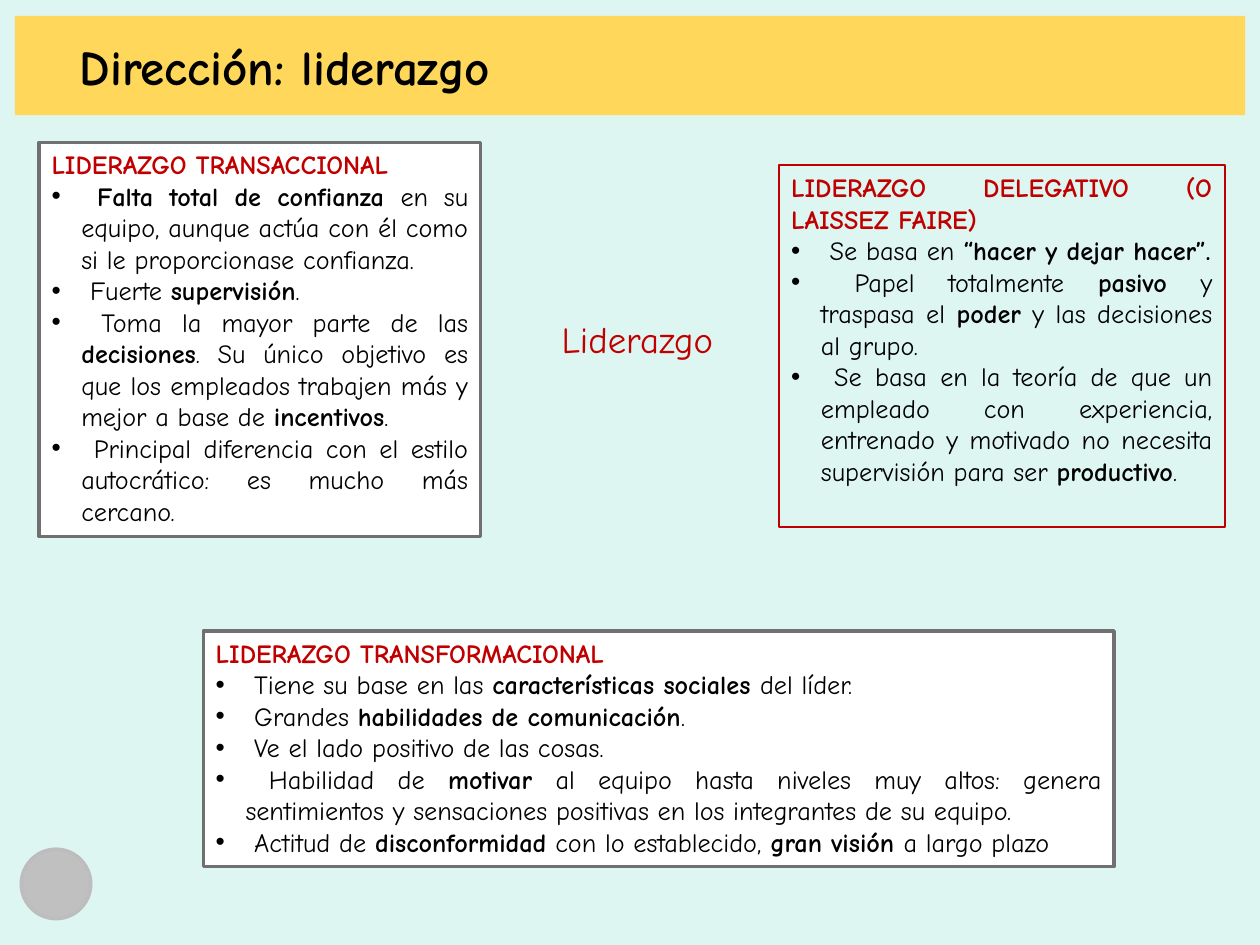
import pptx
import pptx.dml.color
import pptx.enum.shapes
import pptx.enum.text
import pptx.util
from lxml import etree
from pptx.oxml.ns import qn

Cm = pptx.util.Cm
Pt = pptx.util.Pt
RGBColor = pptx.dml.color.RGBColor
Align = pptx.enum.text.PP_ALIGN
Anchor = pptx.enum.text.MSO_ANCHOR
Shape = pptx.enum.shapes.MSO_SHAPE

MINT = RGBColor(0xDE, 0xF6, 0xF1)
YELLOW = RGBColor(0xFF, 0xD8, 0x5B)
RED = RGBColor(0xC0, 0x00, 0x00)
BLACK = RGBColor(0x00, 0x00, 0x00)
WHITE = RGBColor(0xFF, 0xFF, 0xFF)
GREY = RGBColor(0x70, 0x70, 0x70)
SILVER = RGBColor(0xC0, 0xC0, 0xC0)
SILVER_EDGE = RGBColor(0xBD, 0xBD, 0xBD)

# Bold passages stand between asterisks
TRANSACTIONAL = [
    " *Falta total de confianza *en su equipo, aunque actúa con él como si le proporcionase confianza. ",
    " Fuerte *supervisión*. ",
    " Toma la mayor parte de las *decisiones*. Su único objetivo es que los empleados "
    "trabajen más y mejor a base de *incentivos*.",
    " Principal diferencia con el estilo autocrático: es mucho más cercano.",
]
TRANSFORMATIONAL = [
    " Tiene su base en las *características sociales *del líder. ",
    " Grandes *habilidades de comunicación*. ",
    " Ve el lado positivo de las cosas. ",
    " Habilidad de *motivar* al equipo hasta niveles muy altos: genera sentimientos "
    "y sensaciones positivas en los integrantes de su equipo.",
    " Actitud de *disconformidad* con lo establecido, *gran visión *a largo plazo",
]
DELEGATIVE = [
    " Se basa en *“hacer y dejar hacer”.*",
    " Papel totalmente *pasivo* y traspasa el *poder* y las decisiones al grupo.",
    " Se basa en la teoría de que un empleado con experiencia, entrenado y motivado "
    "no necesita supervisión para ser *productivo*.",
]


class SlideBuilder:
    font_name = "Comic Neue"
    body_size = Pt(15)
    bullet_indent = Cm(0.6)

    def __init__(self, page):
        self.page = page
        page.background.fill.solid()
        page.background.fill.fore_color.rgb = MINT

    def style(self, paragraph, size, color, bold=None):
        paragraph.font.name = self.font_name
        paragraph.font.size = size
        paragraph.font.color.rgb = color
        paragraph.font.bold = bold

    def title(self, text, left, top, width, height):
        box = self.page.shapes.title
        box.left, box.top, box.width, box.height = left, top, width, height
        box.fill.solid()
        box.fill.fore_color.rgb = YELLOW
        frame = box.text_frame
        frame.text = text
        frame.vertical_anchor = Anchor.MIDDLE
        frame.margin_left = Cm(1.31)
        paragraph = frame.paragraphs[0]
        paragraph.alignment = Align.LEFT
        self.style(paragraph, Pt(28), BLACK, True)

    def shape(self, kind, left, top, width, height, fill, line, weight):
        box = self.page.shapes.add_shape(kind, left, top, width, height)
        box.shadow.inherit = False
        if fill is None:
            box.fill.background()
        else:
            box.fill.solid()
            box.fill.fore_color.rgb = fill
        box.line.color.rgb = line
        box.line.width = weight
        return box

    def card(self, heading, points, left, top, width, height, fill=WHITE, line=GREY, weight=Pt(2)):
        box = self.shape(Shape.RECTANGLE, left, top, width, height, fill, line, weight)
        frame = box.text_frame
        frame.word_wrap = True
        frame.vertical_anchor = Anchor.TOP
        paragraph = frame.paragraphs[0]
        paragraph.text = heading
        paragraph.alignment = Align.JUSTIFY
        self.style(paragraph, self.body_size, RED, True)
        for point in points:
            self.bullet(frame.add_paragraph(), point)

    def bullet(self, paragraph, point):
        paragraph.alignment = Align.JUSTIFY
        properties = paragraph._p.get_or_add_pPr()
        properties.set("marL", str(self.bullet_indent))
        properties.set("indent", str(-self.bullet_indent))
        etree.SubElement(properties, qn("a:buFont"), typeface="Arial")
        etree.SubElement(properties, qn("a:buChar"), char="•")
        self.style(paragraph, self.body_size, BLACK)
        for index, part in enumerate(point.split("*")):
            if part:
                span = paragraph.add_run()
                span.text = part
                span.font.bold = index % 2 == 1

    def label(self, text, left, top, width, height):
        box = self.page.shapes.add_textbox(left, top, width, height)
        frame = box.text_frame
        frame.word_wrap = True
        frame.vertical_anchor = Anchor.MIDDLE
        frame.margin_left = frame.margin_right = frame.margin_top = frame.margin_bottom = 0
        paragraph = frame.paragraphs[0]
        paragraph.text = text
        paragraph.alignment = Align.CENTER
        self.style(paragraph, Pt(21), RED)


def main():
    deck = pptx.Presentation()
    deck.slide_width, deck.slide_height = Cm(25.4), Cm(19.05)
    page = deck.slides.add_slide(deck.slide_layouts[5])
    builder = SlideBuilder(page)

    # Title band and corner disc
    builder.title("Dirección: liderazgo", Cm(0.3), Cm(0.32), Cm(24.8), Cm(2))
    builder.shape(Shape.OVAL, Cm(0.43), Cm(17.12), Cm(1.4), Cm(1.4), SILVER, SILVER_EDGE, Pt(2))

    # Leadership styles around the central topic
    builder.card("LIDERAZGO TRANSACCIONAL", TRANSACTIONAL,
                 Cm(0.79), Cm(2.87), Cm(8.9), Cm(7.95))
    builder.card("LIDERAZGO TRANSFORMACIONAL", TRANSFORMATIONAL,
                 Cm(4.1), Cm(12.72), Cm(18.36), Cm(4.75))
    builder.card("LIDERAZGO DELEGATIVO (O LAISSEZ FAIRE)", DELEGATIVE,
                 Cm(15.7), Cm(3.33), Cm(8.99), Cm(7.3), fill=None, line=RED, weight=Pt(1))
    builder.label("Liderazgo", Cm(10), Cm(6.35), Cm(5.7), Cm(0.95))

    deck.save("out.pptx")


if __name__ == "__main__":
    main()
